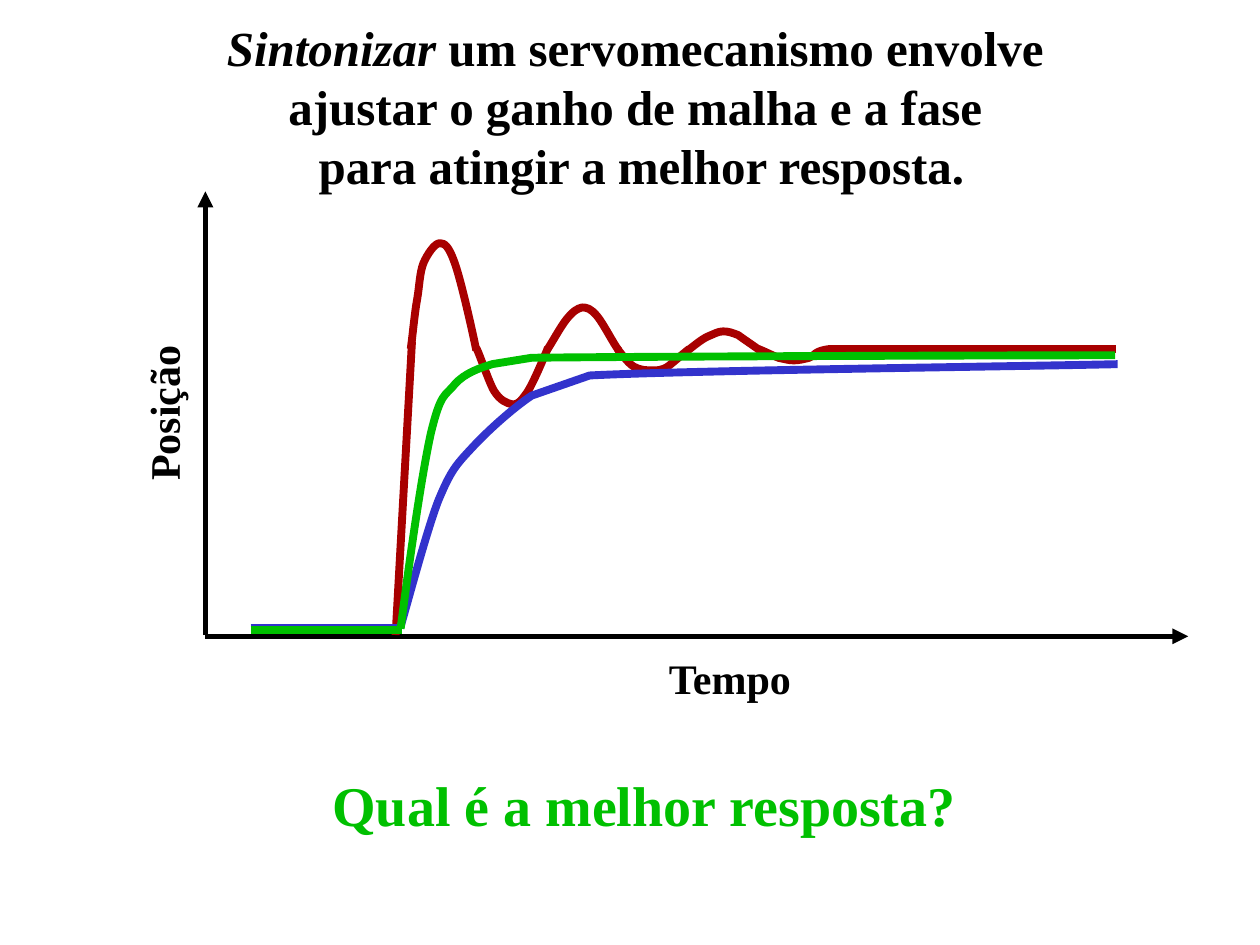
from lxml.etree import SubElement
from pptx import Presentation
from pptx.dml.color import RGBColor
from pptx.enum.text import MSO_AUTO_SIZE, PP_ALIGN
from pptx.oxml.ns import qn
from pptx.util import Inches, Pt

FONT = "Times New Roman"
BLACK, RED, BLUE, GREEN = "000000", "A80000", "3333CC", "00C000"

AXES = [((1.63, 5.05), (9.43, 5.05)), ((1.63, 5.04), (1.63, 1.52))]

# A curve is a start point, then segments: three points make a Bézier, one a straight line.
RESPONSES = [
    {"color": RED,
     "curves": [
         [(3.78, 2.76),
          [(3.81, 2.82), (3.88, 3.03), (3.92, 3.1)],
          [(3.97, 3.18), (4.02, 3.2), (4.07, 3.21)],
          [(4.11, 3.21), (4.13, 3.19), (4.18, 3.12)],
          [(4.23, 3.05), (4.32, 2.83), (4.35, 2.76)]],
         [(3.26, 2.77),
          [(3.27, 2.71), (3.29, 2.49), (3.31, 2.38)],
          [(3.33, 2.27), (3.33, 2.17), (3.36, 2.09)],
          [(3.39, 2.02), (3.45, 1.93), (3.49, 1.93)],
          [(3.53, 1.93), (3.56, 1.95), (3.61, 2.09)],
          [(3.66, 2.23), (3.75, 2.63), (3.78, 2.78)]],
         [(4.34, 2.78),
          [(4.37, 2.74), (4.45, 2.59), (4.5, 2.53)],
          [(4.55, 2.47), (4.58, 2.45), (4.62, 2.44)],
          [(4.66, 2.44), (4.69, 2.45), (4.74, 2.51)],
          [(4.79, 2.57), (4.87, 2.73), (4.91, 2.78)]],
         [(4.9, 2.77),
          [(4.92, 2.79), (4.98, 2.88), (5.03, 2.91)],
          [(5.08, 2.94), (5.14, 2.94), (5.18, 2.94)],
          [(5.22, 2.94), (5.25, 2.94), (5.3, 2.91)],
          [(5.34, 2.88), (5.43, 2.8), (5.47, 2.77)]],
         [(5.46, 2.78),
          [(5.49, 2.76), (5.57, 2.69), (5.62, 2.67)],
          [(5.67, 2.65), (5.7, 2.63), (5.74, 2.63)],
          [(5.78, 2.63), (5.81, 2.64), (5.86, 2.66)],
          [(5.9, 2.69), (5.99, 2.75), (6.03, 2.78)]],
         [(6.02, 2.77),
          [(6.05, 2.78), (6.13, 2.82), (6.18, 2.84)],
          [(6.23, 2.85), (6.26, 2.86), (6.3, 2.86)],
          [(6.34, 2.86), (6.38, 2.85), (6.42, 2.84)],
          [(6.45, 2.83), (6.47, 2.8), (6.5, 2.79)],
          [(6.52, 2.78), (6.57, 2.77), (6.59, 2.77)]]],
     "lines": [((6.58, 2.77), (8.86, 2.77)), ((3.14, 5.04), (3.27, 2.71))]},
    {"color": BLUE,
     "lines": [((1.99, 4.98), (3.19, 4.98))],
     "curves": [
         [(3.18, 4.97),
          [(3.23, 4.8), (3.39, 4.2), (3.48, 3.97)],
          [(3.58, 3.73), (3.62, 3.69), (3.75, 3.55)],
          [(3.87, 3.42), (4.07, 3.24), (4.22, 3.14)],
          [(4.68, 2.98)],
          [(5.46, 2.94), (8, 2.91), (8.87, 2.89)]]]},
    {"color": GREEN,
     "lines": [((1.99, 5), (3.19, 5))],
     "curves": [
         [(3.18, 4.99),
          [(3.26, 4.37), (3.35, 3.76), (3.42, 3.44)],
          [(3.5, 3.11), (3.53, 3.15), (3.61, 3.05)],
          [(3.69, 2.96), (3.81, 2.92), (3.91, 2.89)],
          [(4.22, 2.84)],
          [(5.05, 2.83), (7.89, 2.82), (8.85, 2.82)]]]},
]

# Each paragraph is a list of (text, italic) runs.
TITLE = [
    [("Sintonizar", True), (" um servomecanismo envolve ", False)],
    [("ajustar o ganho de malha e a fase ", False)],
    [("para atingir a melhor resposta.", False)],
]


def rgb(color):
    return RGBColor.from_string(color)


def style_line(shape, color, width):
    shape.line.color.rgb = rgb(color)
    shape.line.width = Pt(width)


def add_line(shapes, start, end, color, width, arrow=False):
    line = shapes.add_connector(1, *map(Inches, start + end))
    style_line(line, color, width)
    if arrow:
        SubElement(line.line._get_or_add_ln(), qn("a:tailEnd"), type="triangle")
    SubElement(line._element.spPr, qn("a:effectLst"))


def add_curve(shapes, curve, color, width):
    """Draw all points as a polyline, then turn each triple into a Bézier."""
    start, *segments = curve
    builder = shapes.build_freeform(*map(Inches, start))
    builder.add_line_segments(
        [tuple(map(Inches, point)) for segment in segments for point in segment],
        close=False)
    shape = builder.convert_to_shape()
    shape.shadow.inherit = False
    shape.fill.background()
    style_line(shape, color, width)

    steps = iter(list(shape._element.iter(qn("a:lnTo"))))
    for segment in segments:
        first, *others = [next(steps) for _ in segment]
        if others:
            first.tag = qn("a:cubicBezTo")
            for step in others:
                first.append(step[0])
                step.getparent().remove(step)


def add_text(shapes, paragraphs, box, size, color=BLACK, align=PP_ALIGN.LEFT, rotation=0):
    if isinstance(paragraphs, str):
        paragraphs = [[(paragraphs, False)]]
    label = shapes.add_textbox(*map(Inches, box))
    label.rotation = rotation
    frame = label.text_frame
    frame.word_wrap = False
    frame.auto_size = MSO_AUTO_SIZE.SHAPE_TO_FIT_TEXT
    for index, runs in enumerate(paragraphs):
        paragraph = frame.add_paragraph() if index else frame.paragraphs[0]
        paragraph.alignment = align
        for text, italic in runs:
            run = paragraph.add_run()
            run.text = text
            run.font.name = FONT
            run.font.size = Pt(size)
            run.font.bold = True
            run.font.italic = italic
            run.font.color.rgb = rgb(color)


def main():
    deck = Presentation()
    deck.slide_width, deck.slide_height = Inches(10), Inches(7.5)
    shapes = deck.slides.add_slide(deck.slide_layouts[6]).shapes

    for start, end in AXES:
        add_line(shapes, start, end, BLACK, 3, arrow=True)
    add_text(shapes, "Posição", (0.64, 3.03, 1.31, 0.5), 24, align=PP_ALIGN.CENTER, rotation=270)
    add_text(shapes, "Tempo", (5.21, 5.13, 1.2, 0.5), 24)

    for response in RESPONSES:
        group = shapes.add_group_shape().shapes
        for start, end in response["lines"]:
            add_line(group, start, end, response["color"], 4.5)
        for curve in response["curves"]:
            add_curve(group, curve, response["color"], 4.5)

    add_text(shapes, TITLE, (1.7, 0.09, 6.78, 1.5), 28, align=PP_ALIGN.CENTER)
    add_text(shapes, "Qual é a melhor resposta?", (2.54, 6.07, 5.17, 0.64), 32, color=GREEN)
    deck.save("out.pptx")


if __name__ == "__main__":
    main()
